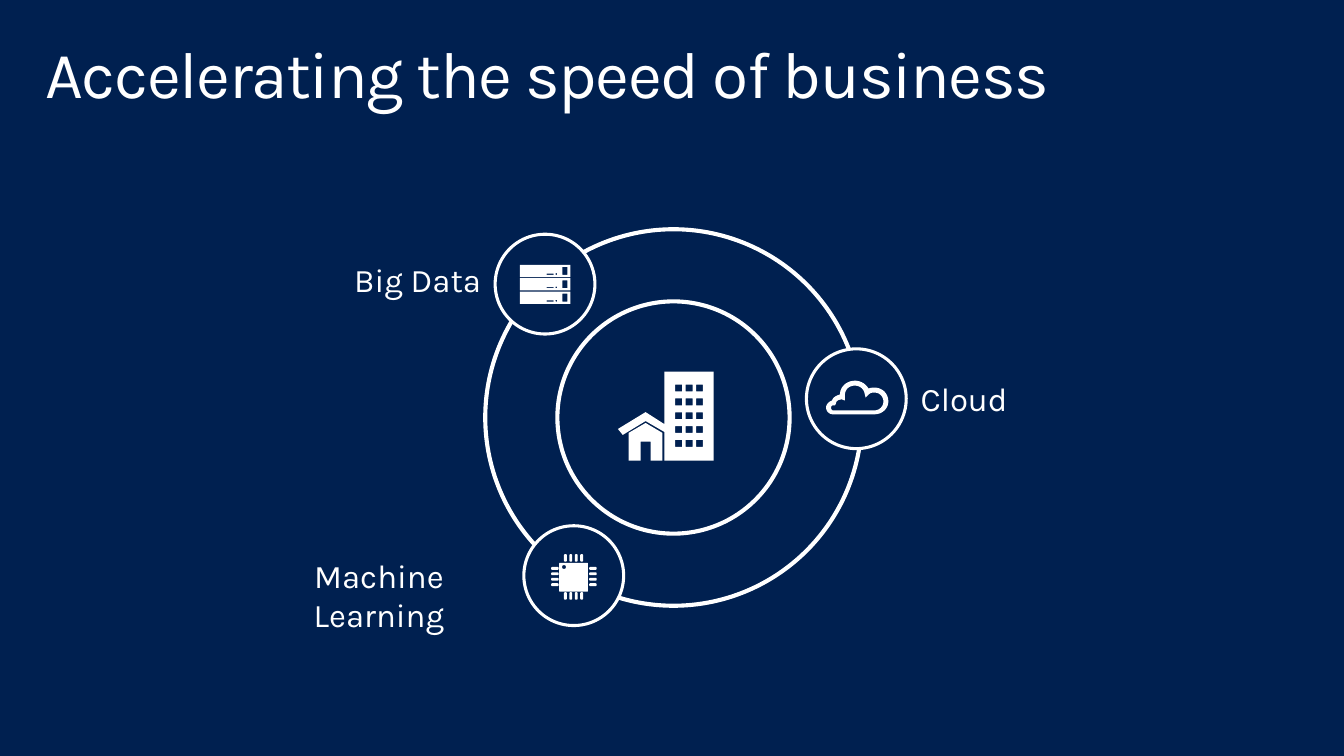
import math
from dataclasses import dataclass

import pptx
import pptx.dml.color
import pptx.enum.shapes
import pptx.enum.text
import pptx.util

Pt = pptx.util.Pt
ANCHOR = pptx.enum.text.MSO_ANCHOR
ALIGN = pptx.enum.text.PP_ALIGN


@dataclass(frozen=True)
class Theme:
    navy = pptx.dml.color.RGBColor(0x00, 0x20, 0x50)
    white = pptx.dml.color.RGBColor(0xFF, 0xFF, 0xFF)
    font = "Karla"
    title_size = 48
    label_size = 24
    ring_line = 3
    node_line = 2.25


THEME = Theme()
CENTRE = (490.7, 304.2)
RING_SIZE, HUB_SIZE, NODE_SIZE = 274.3, 169.2, 72.7
CLOUD_UNIT = 0.72

# Pairs are straight steps; sextuples are Bezier steps
CLOUD_OUTSIDE = [
    (49, 34), (7, 34), (3, 34, 0, 31, 0, 27), (0, 24, 3, 21, 6, 20),
    (7, 17, 10, 15, 14, 14), (14, 6, 21, 0, 29, 0), (35, 0, 40, 3, 43, 8),
    (45, 7, 47, 7, 49, 7), (57, 7, 63, 13, 63, 21), (63, 28, 57, 34, 49, 34),
]
CLOUD_INSIDE = [
    (7, 25), (6, 25, 5, 26, 5, 27), (5, 29, 6, 30, 7, 30), (49, 30),
    (54, 30, 58, 26, 58, 21), (58, 16, 54, 12, 49, 12), (47, 12, 45, 12, 43, 14),
    (40, 17), (39, 13), (38, 8, 34, 5, 29, 5), (23, 5, 19, 9, 19, 15),
    (19, 20), (16, 19), (12, 19, 10, 21, 10, 23), (9, 25),
]


def block(left, top, width, height, radius=0):
    """Outline of a rectangle, with rounded corners if a radius is given."""
    if not radius:
        return [(left, top), (left + width, top),
                (left + width, top + height), (left, top + height)]
    outline = []
    corners = [(left + width - radius, top + height - radius),
               (left + radius, top + height - radius),
               (left + radius, top + radius),
               (left + width - radius, top + radius)]
    for quarter, (x, y) in enumerate(corners):
        for step in range(5):
            angle = (quarter + step / 4) * math.pi / 2
            outline.append((x + radius * math.cos(angle),
                            y + radius * math.sin(angle)))
    return outline


def curved(steps, unit):
    """Flatten straight and Bezier steps into points."""
    outline = [steps[0]]
    for step in steps[1:]:
        if len(step) == 2:
            outline.append(step)
            continue
        knots = [outline[-1], step[:2], step[2:4], step[4:]]
        for part in range(1, 13):
            t = part / 12
            weights = ((1 - t) ** 3, 3 * t * (1 - t) ** 2, 3 * t * t * (1 - t), t ** 3)
            outline.append(tuple(sum(w * k[axis] for w, k in zip(weights, knots))
                                 for axis in (0, 1)))
    return [(x * unit, y * unit) for x, y in outline]


def buildings():
    tower_and_roof = [(33.8, 0), (33.8, 38.2), (20.2, 29.5), (0, 41.8), (3.6, 46.1),
                      (20.2, 36), (33.8, 43.9), (33.8, 64.8), (69.8, 64.8), (69.8, 0)]
    house = [(20.2, 37.4), (32.4, 44.6), (32.4, 64.8), (23.8, 64.8), (23.8, 51.1),
             (16.6, 51.1), (16.6, 64.8), (7.9, 64.8), (7.9, 44.6)]
    windows = [block(41.8 + 7.6 * column, 9.4 + 10.1 * floor, 5, 5)
               for column in range(3) for floor in range(5)]
    return [tower_and_roof, house, *windows]


def servers():
    outlines = []
    for row in range(3):
        top = 9.75 * row
        outlines += [block(0, top, 36.7, 8.9), block(19.4, top + 6.4, 5.1, 0.8),
                     block(25.9, top + 6, 1.3, 1.3, 0.65), block(31, top + 1.5, 3.6, 5.7)]
    return outlines


def cloud():
    return [curved(steps, CLOUD_UNIT) for steps in (CLOUD_OUTSIDE, CLOUD_INSIDE)]


def chip():
    outlines = [block(5.8, 6.3, 21, 21, 0.6), block(7.9, 7.9, 2.9, 2.9, 1.45)]
    for pin in range(4):
        along = 9.3 + 3.95 * pin
        for across in (0, 27.7):
            outlines += [block(along, across, 2.1, 5.4, 0.8),
                         block(across, along, 5.4, 2.1, 0.8)]
    return outlines


def add_circle(shapes, centre, size, weight, filled=True):
    x, y = centre
    circle = shapes.add_shape(pptx.enum.shapes.MSO_SHAPE.OVAL,
                              Pt(x - size / 2), Pt(y - size / 2), Pt(size), Pt(size))
    circle.shadow.inherit = False
    if filled:
        circle.fill.solid()
        circle.fill.fore_color.rgb = THEME.navy
    else:
        circle.fill.background()
    circle.line.color.rgb = THEME.white
    circle.line.width = Pt(weight)


def add_icon(shapes, left, top, outlines):
    placed = [[(Pt(left + x), Pt(top + y)) for x, y in outline] for outline in outlines]
    builder = shapes.build_freeform(*placed[0][0], scale=1.0)
    builder.add_line_segments(placed[0][1:], close=True)
    for outline in placed[1:]:
        builder.move_to(*outline[0])
        builder.add_line_segments(outline[1:], close=True)
    icon = builder.convert_to_shape()
    icon.shadow.inherit = False
    icon.fill.solid()
    icon.fill.fore_color.rgb = THEME.white
    icon.line.fill.background()


def add_badge(slide, centre, size, weight, icon_offset, outlines):
    """Group a circle with its icon; the offset runs from the circle's centre."""
    badge = slide.shapes.add_group_shape()
    add_circle(badge.shapes, centre, size, weight)
    add_icon(badge.shapes, centre[0] + icon_offset[0], centre[1] + icon_offset[1], outlines)


def write(paragraph, wording, size):
    run = paragraph.add_run()
    run.text = wording
    run.font.name = THEME.font
    run.font.size = Pt(size)
    run.font.color.rgb = THEME.white
    return run


def set_frame(frame, side, end):
    frame.word_wrap = True
    frame.vertical_anchor = ANCHOR.TOP
    frame.margin_left = frame.margin_right = Pt(side)
    frame.margin_top = frame.margin_bottom = Pt(end)


def add_title(slide, left, top, width, height):
    title = slide.shapes.title
    title.left, title.top, title.width, title.height = map(Pt, (left, top, width, height))
    set_frame(title.text_frame, 11.5, 7.2)
    heading = title.text_frame.paragraphs[0]
    heading.alignment = ALIGN.LEFT
    heading.line_spacing = 0.9
    run = write(heading, "Accelerating the speed of business", THEME.title_size)
    run.font._element.set("spc", "-100")


def add_label(slide, wording, left, top, width, height=52.6):
    label = slide.shapes.add_textbox(Pt(left), Pt(top), Pt(width), Pt(height))
    set_frame(label.text_frame, 14.4, 11.5)
    paragraph = label.text_frame.paragraphs[0]
    paragraph.alignment = ALIGN.CENTER
    write(paragraph, wording, THEME.label_size)


def add_orbit(slide, centre):
    x, y = centre
    add_circle(slide.shapes, centre, RING_SIZE, THEME.ring_line, filled=False)
    add_badge(slide, centre, HUB_SIZE, THEME.ring_line, (-40.5, -33.4), buildings())
    nodes = [
        ("Machine Learning", (-72.7, 115.2), (-16.4, -15.6), chip(), (-320.8, 88.9, 212.4)),
        ("Cloud", (133.2, -13.7), (-22, -13.1), cloud(), (161.6, -40, 100.1)),
        ("Big Data", (-93.6, -97.2), (-18.3, -14), servers(), (-265.3, -126.4, 157.7)),
    ]
    for wording, (dx, dy), icon_offset, outlines, (label_dx, label_dy, label_width) in nodes:
        add_badge(slide, (x + dx, y + dy), NODE_SIZE, THEME.node_line, icon_offset, outlines)
        add_label(slide, wording, x + label_dx, y + label_dy, label_width)


def main():
    deck = pptx.Presentation()
    deck.slide_width, deck.slide_height = Pt(979.2), Pt(550.8)
    slide = deck.slides.add_slide(deck.slide_layouts[5])
    slide.background.fill.solid()
    slide.background.fill.fore_color.rgb = THEME.navy
    add_title(slide, 21.6, 23, 936, 72)
    add_orbit(slide, CENTRE)
    deck.save("out.pptx")


if __name__ == "__main__":
    main()
